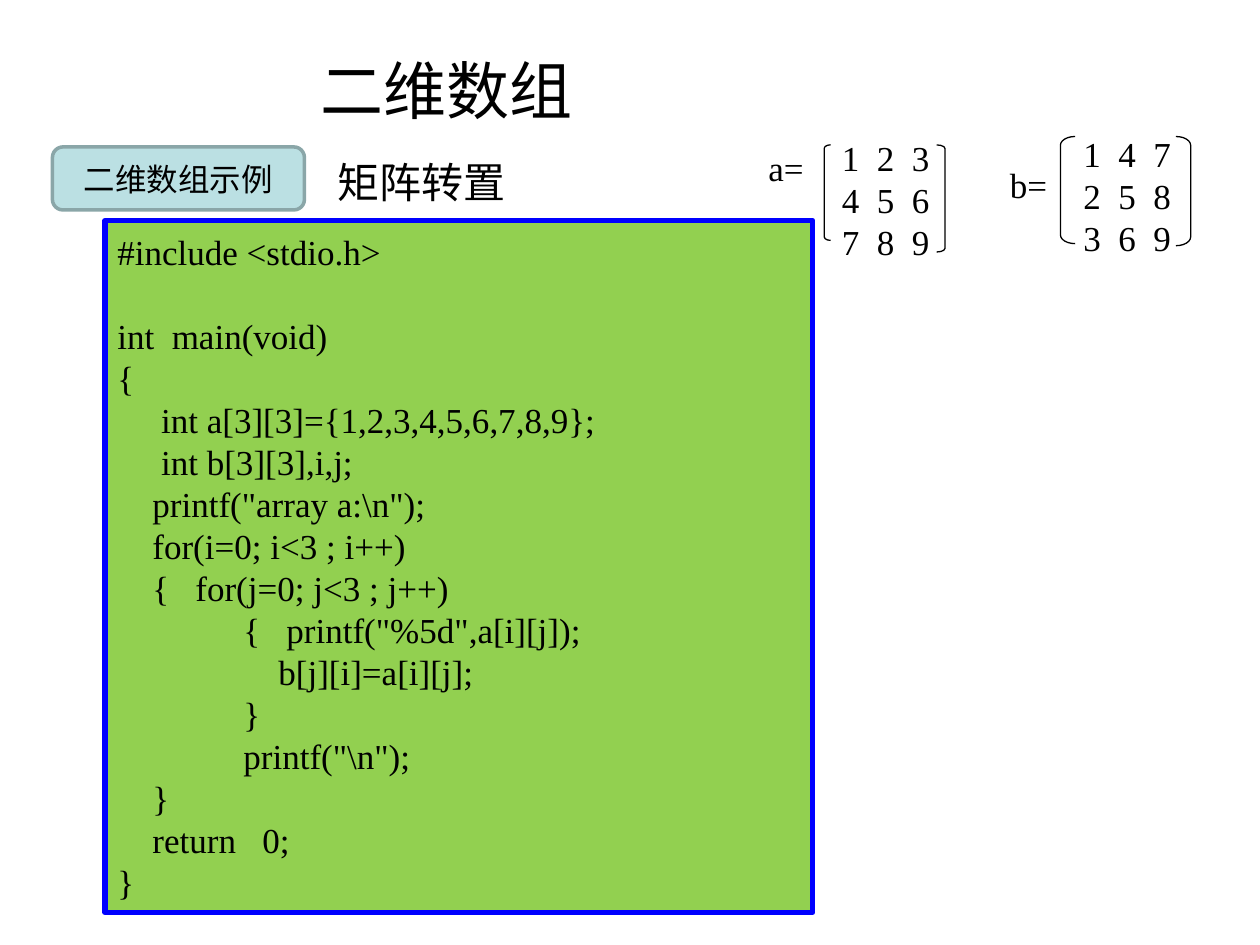
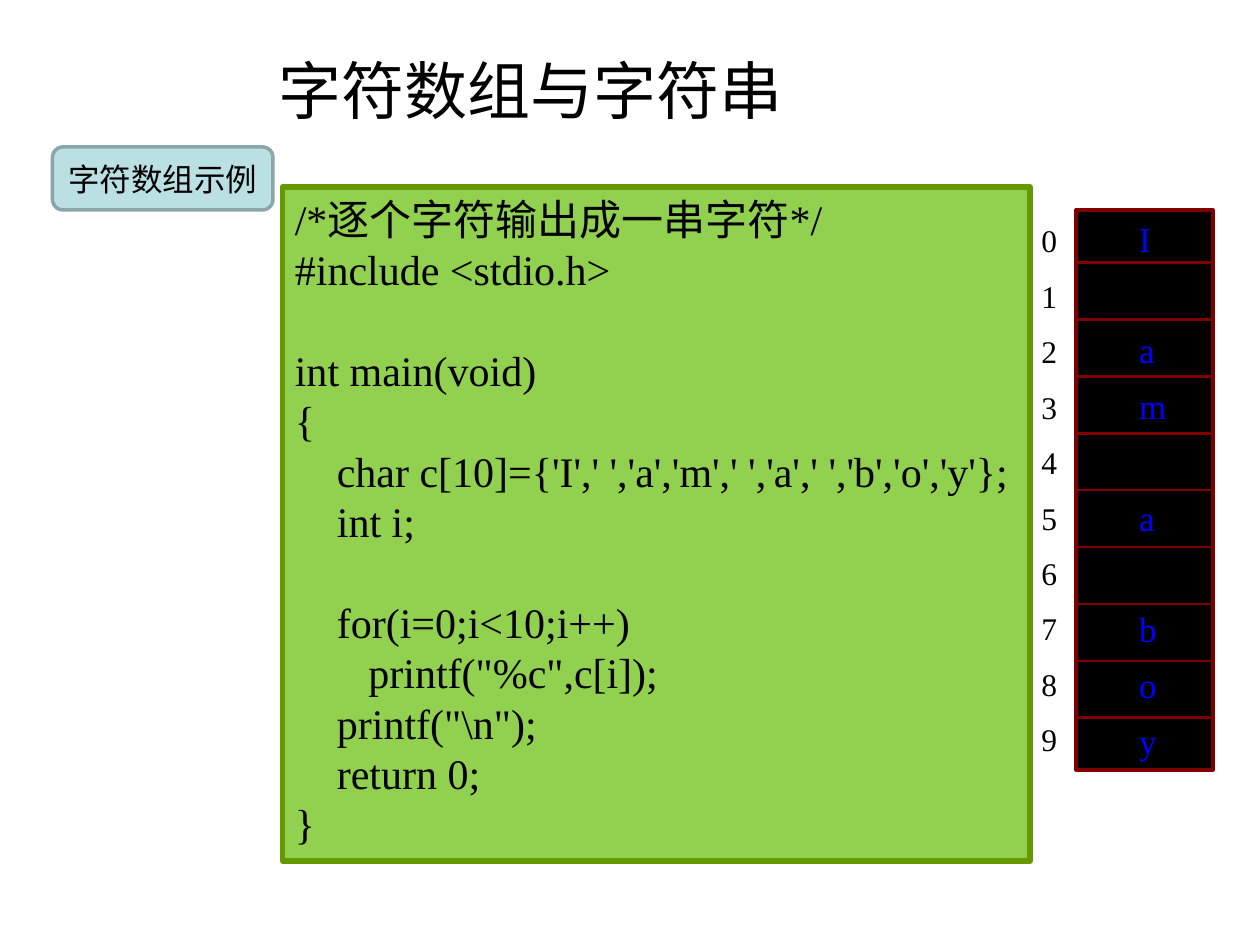
from lxml import etree
from pptx import Presentation
from pptx.dml.color import RGBColor
from pptx.enum.shapes import MSO_CONNECTOR, MSO_SHAPE as SHAPE
from pptx.enum.text import MSO_ANCHOR as ANCHOR, MSO_AUTO_SIZE, PP_ALIGN as ALIGN
from pptx.oxml.ns import qn
from pptx.util import Inches, Pt

COLUMNS, ROWS = 120, 90
UNIT = Inches(10) / COLUMNS  # columns and rows are equally long
SERIF, SANS, CJK = "Times New Roman", "Arial", "Noto Sans CJK SC"
BLACK, BLUE, GREEN, MAROON = "000000", "0000FF", "92D050", "800000"
TITLE_BOX = (16, 3, 98, 11)
BRACE_GAP = 24.6  # points from an opening brace to the code after it

# Each line: left indent in points, text, points from the indent to a tab.
# None stands for an empty line.
TRANSPOSE_CODE = [
    (0, "#include <stdio.h>"),
    None,
    (0, "int\tmain(void)", 31.1),
    (0, "{"),
    (25, "int a[3][3]={1,2,3,4,5,6,7,8,9};"),
    (25, "int b[3][3],i,j;"),
    (20, 'printf("array a:\\n");'),
    (20, "for(i=0; i<3 ; i++)"),
    (20, "{\tfor(j=0; j<3 ; j++)", BRACE_GAP),
    (72, '{\tprintf("%5d",a[i][j]);', BRACE_GAP),
    (92, "b[j][i]=a[i][j];"),
    (72, "}"),
    (72, 'printf("\\n");'),
    (20, "}"),
    (20, "return\t0;", 62.8),
    (0, "}"),
]
SPELL_CODE = [
    (0, "/*逐个字符输出成一串字符*/"),
    (0, "#include <stdio.h>"),
    None,
    (0, "int main(void)"),
    (0, "{"),
    (24, "char c[10]={'I',' ','a','m',' ','a',' ','b','o','y'};"),
    (24, "int i;"),
    None,
    (24, "for(i=0;i<10;i++)"),
    (42, 'printf("%c",c[i]);'),
    (24, 'printf("\\n");'),
    (24, "return 0;"),
    (0, "}"),
]


def color(hex_code):
    return RGBColor.from_string(hex_code)


def grid(*lengths):
    return [round(length * UNIT) for length in lengths]


def style(paragraph, size, face=SERIF, ink=BLACK):
    font = paragraph.font
    font.size, font.name = Pt(size), face
    font.color.rgb = color(ink)
    defaults = paragraph._p.pPr.find(qn("a:defRPr"))
    etree.SubElement(defaults, qn("a:ea")).set("typeface", CJK)


def set_tabs(paragraph, stops):
    props = paragraph._p.get_or_add_pPr()
    tabs = etree.Element(qn("a:tabLst"))
    for stop in stops:
        etree.SubElement(tabs, qn("a:tab"), pos=str(Pt(stop)), algn="l")
    props.find(qn("a:defRPr")).addprevious(tabs)


def add_label(shapes, box, lines, size, ink=BLACK, wrap=False, stops=()):
    frame = shapes.add_textbox(*grid(*box)).text_frame
    frame.word_wrap = wrap
    frame.text = "\n".join(lines)
    for paragraph in frame.paragraphs:
        paragraph.line_spacing = Pt(size * 1.2)
        style(paragraph, size, ink=ink)
        if stops:
            set_tabs(paragraph, stops)


def add_panel(shapes, kind, box, fill, edge, width):
    panel = shapes.add_shape(kind, *grid(*box))
    panel.shadow.inherit = False
    if fill:
        panel.fill.solid()
        panel.fill.fore_color.rgb = color(fill)
    else:
        panel.fill.background()
    panel.line.color.rgb = color(edge)
    panel.line.width = Pt(width)
    return panel


def add_titled_slide(deck, heading, inset, tag, tag_width):
    """Add a slide with its heading and the rounded tag below it."""
    slide = deck.slides.add_slide(deck.slide_layouts[5])
    title = slide.shapes.title
    title.left, title.top, title.width, title.height = grid(*TITLE_BOX)
    frame = title.text_frame
    frame.text = heading
    frame.auto_size = MSO_AUTO_SIZE.NONE
    frame.vertical_anchor = ANCHOR.MIDDLE
    frame.margin_left = grid(inset)[0]
    frame.paragraphs[0].alignment = ALIGN.LEFT
    style(frame.paragraphs[0], 36, CJK)

    badge = add_panel(slide.shapes, SHAPE.ROUNDED_RECTANGLE,
                      (5, 14, tag_width, 6), "BBE0E3", "8AA6A8", 2)
    badge.text_frame.text = tag
    badge.text_frame.vertical_anchor = ANCHOR.MIDDLE
    badge.text_frame.paragraphs[0].alignment = ALIGN.CENTER
    style(badge.text_frame.paragraphs[0], 18, SANS)
    return slide


def add_code(slide, box, lines, size, edge, anchor, wrap):
    frame = add_panel(slide.shapes, SHAPE.RECTANGLE, box, GREEN, edge, 3).text_frame
    frame.vertical_anchor, frame.word_wrap = anchor, wrap
    pitch = Pt(size * 1.2)
    paragraph, after_gap = frame.paragraphs[0], False
    for number, line in enumerate(lines):
        if line is None:
            after_gap = True
            continue
        if number:
            paragraph = frame.add_paragraph()
        indent, text, *hang = line
        paragraph.text = text
        paragraph.alignment = ALIGN.LEFT
        paragraph.line_spacing = pitch
        if after_gap:
            paragraph.space_before = pitch
        after_gap = False
        tab = hang[0] if hang else 0
        props = paragraph._p.get_or_add_pPr()
        props.set("marL", str(Pt(indent + tab)))
        props.set("indent", str(Pt(-tab)))
        style(paragraph, size)


def add_matrix(slide, left, top, name, name_at, rows, brackets):
    """Place a named matrix; name and brackets are offsets from its numbers."""
    shapes = slide.shapes.add_group_shape().shapes
    dx, dy = name_at
    add_label(shapes, (left + dx, top + dy, 6, 5.2), [name], 20)
    add_label(shapes, (left, top, 10.8, 13.3),
              ["\t".join(row) for row in rows], 20, stops=(20, 40))
    for kind, (dx, dy, width, height), curve in brackets:
        bracket = add_panel(shapes, kind, (left + dx, top + dy, width, height),
                            None, BLACK, 0.75)
        bracket.adjustments[0] = curve


def add_memory(slide, left, top, letters):
    """Stack one cell per letter, with its index to the left."""
    shapes = slide.shapes.add_group_shape().shapes
    width, height = 13, 53.3
    add_panel(shapes, SHAPE.RECTANGLE, (left, top, width, height),
              BLACK, MAROON, 2.25)
    for index, letter in enumerate(letters):
        if index:
            y = top + 5 + 5.42 * (index - 1)
            divider = shapes.add_connector(
                MSO_CONNECTOR.STRAIGHT,
                *grid(left + 0.2, y, left + 0.2 + width, y))
            divider.line.color.rgb = color(MAROON)
            divider.line.width = Pt(1.5)
            etree.SubElement(divider._element.spPr, qn("a:effectLst"))
        add_label(shapes, (left - 4.5, top + 0.5 + 5.28 * index, 4, 4.8),
                  [str(index)], 18)
        if letter != " ":
            add_label(shapes, (left + 4.8, top + 0.1 + 5.31 * index, 4, 5.2),
                      [letter], 20, BLUE)


def add_transpose_slide(deck):
    slide = add_titled_slide(deck, "二维数组", 14.5, "二维数组示例", 24)
    add_code(slide, (10, 21, 67.4, 65.9), TRANSPOSE_CODE, 20, BLUE,
             ANCHOR.MIDDLE, True)
    matrix = ["123", "456", "789"]
    add_matrix(slide, 79, 12.4, "a=", (-7, 1), matrix, [
        (SHAPE.LEFT_BRACKET, (-0.5, 1.4, 0.6, 9.1), 0.55),
        (SHAPE.RIGHT_BRACKET, (10.2, 1.4, 0.8, 10.2), 0.43)])
    add_matrix(slide, 102, 12, "b=", (-7, 3), zip(*matrix), [
        (SHAPE.LEFT_BRACKET, (-1, 1, 1.4, 10.2), 0.59),
        (SHAPE.RIGHT_BRACKET, (10, 1, 1.4, 10.4), 0.59)])
    add_label(slide.shapes, (31, 14.3, 20, 7), ["矩阵转置"], 24, wrap=True)


def add_string_slide(deck):
    slide = add_titled_slide(deck, "字符数组与字符串", 10.5, "字符数组示例", 21)
    add_code(slide, (26.9, 17.8, 71.2, 64.2), SPELL_CODE, 24, "669900",
             ANCHOR.TOP, False)
    add_memory(slide, 102.5, 20, "I am a boy")


def main():
    deck = Presentation()
    deck.slide_width, deck.slide_height = grid(COLUMNS, ROWS)
    add_transpose_slide(deck)
    add_string_slide(deck)
    deck.save("out.pptx")


if __name__ == "__main__":
    main()
